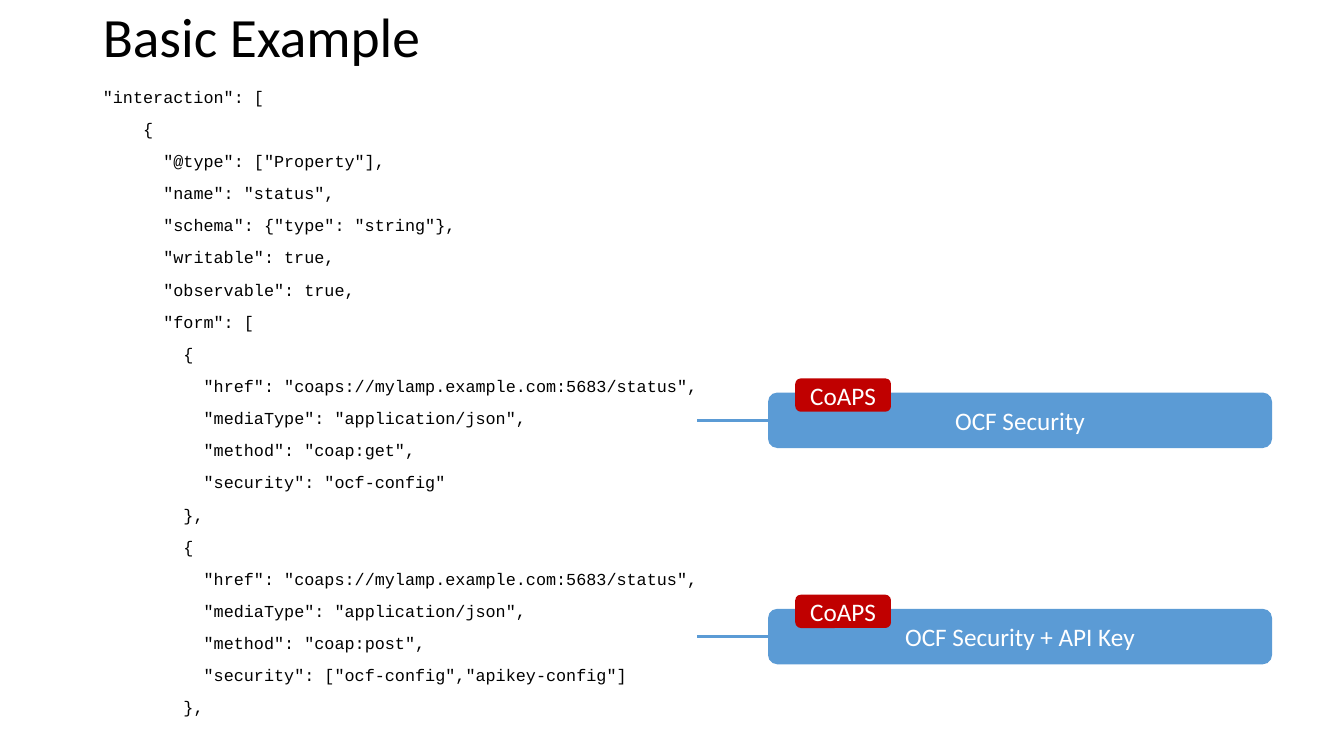
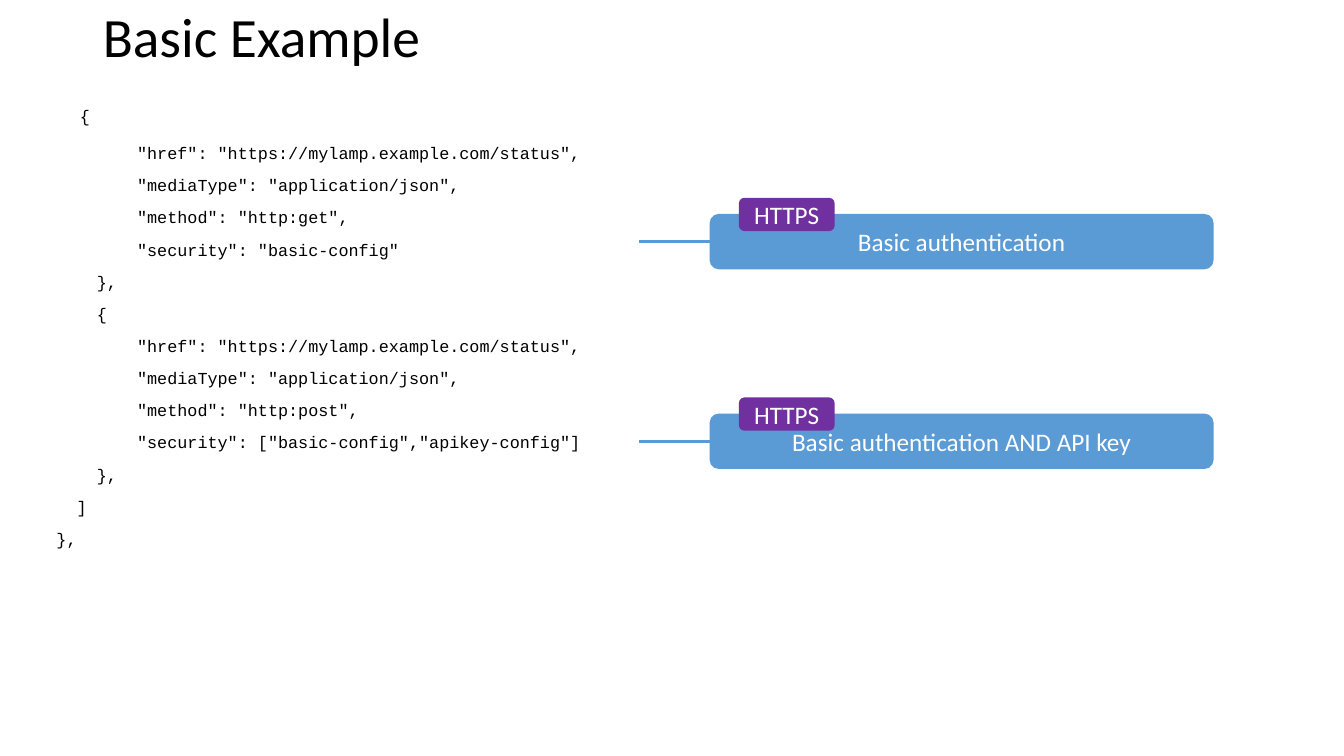
import pptx
import pptx.util
import pptx.dml.color
import pptx.enum.shapes
import pptx.enum.text
import lxml.etree

Pt = pptx.util.Pt
MSO = pptx.enum.shapes.MSO_SHAPE
ALIGN = pptx.enum.text.PP_ALIGN
ANCHOR = pptx.enum.text.MSO_ANCHOR

# Content: code lines are (indent in characters, text)
COLORS = {"text": "000000", "white": "FFFFFF", "box": "5B9BD5",
          "coaps": "C00000", "https": "7030A0"}
TITLE = "Basic Example"

SLIDES = [
    {
        "code_left": 66.24, "code_width": 501.84, "lead_size": None,
        "code": [
            (0, '"interaction": ['),
            (4, '{'),
            (6, '"@type": ["Property"],'),
            (6, '"name": "status",'),
            (6, '"schema": {"type": "string"},'),
            (6, '"writable": true,'),
            (6, '"observable": true,'),
            (6, '"form": ['),
            (8, '{'),
            (10, '"href": "coaps://mylamp.example.com:5683/status",'),
            (10, '"mediaType": "application/json",'),
            (10, '"method": "coap:get",'),
            (10, '"security": "ocf-config"'),
            (8, '},'),
            (8, '{'),
            (10, '"href": "coaps://mylamp.example.com:5683/status",'),
            (10, '"mediaType": "application/json",'),
            (10, '"method": "coap:post",'),
            (10, '"security": ["ocf-config","apikey-config"]'),
            (8, '},'),
        ],
        "box_left": 548.64, "badge": ("CoAPS", "coaps"), "badge_shift": (19.4, -10.1),
        "callouts": [(280.4, "OCF Security"), (434.9, "OCF Security + API Key")],
    },
    {
        "code_left": 33.12, "code_width": 406.08, "lead_size": 28,
        "code": [
            (0, '{'),
            (8, '"href": "https://mylamp.example.com/status",'),
            (8, '"mediaType": "application/json",'),
            (8, '"method": "http:get",'),
            (8, '"security": "basic-config"'),
            (4, '},'),
            (4, '{'),
            (8, '"href": "https://mylamp.example.com/status",'),
            (8, '"mediaType": "application/json",'),
            (8, '"method": "http:post",'),
            (8, '"security": ["basic-config","apikey-config"]'),
            (4, '},'),
            (2, ']'),
            (0, '},'),
        ],
        "box_left": 506.88, "badge": ("HTTPS", "https"), "badge_shift": (20.9, -11.5),
        "callouts": [(152.8, "Basic authentication"),
                     (295.4, "Basic authentication AND API key")],
    },
]

# Shared measures
CODE_SIZE = 12
CHAR_WIDTH = 0.6 * CODE_SIZE
BOX_W, BOX_H = 360, 39.6
BADGE_W, BADGE_H = 68.4, 23.8
LINE_LENGTH = 50.4


def rgb(name):
    return pptx.dml.color.RGBColor.from_string(COLORS[name])


def place(sp, left, top, width, height):
    sp.left, sp.top, sp.width, sp.height = Pt(left), Pt(top), Pt(width), Pt(height)


def add_run(p, text, size, font, color):
    r = p.add_run()
    r.text = text
    r.font.size, r.font.name = Pt(size), font
    r.font.color.rgb = rgb(color)


def add_title(s):
    sp = s.shapes.title
    place(sp, 66.24, 5.76, 828, 44.64)
    tf = sp.text_frame
    tf.auto_size = pptx.enum.text.MSO_AUTO_SIZE.NONE
    tf.vertical_anchor = ANCHOR.MIDDLE
    p = tf.paragraphs[0]
    p.alignment, p.line_spacing = ALIGN.LEFT, 0.9
    add_run(p, TITLE, 39.6, "Calibri", "text")


def add_code(s, left, width, lines, lead_size):
    sp = s.placeholders[1]
    place(sp, left, 59.76, width, 457.2)
    tf = sp.text_frame
    tf.auto_size = pptx.enum.text.MSO_AUTO_SIZE.NONE
    tf.vertical_anchor = ANCHOR.TOP
    for i, (indent, text) in enumerate(lines):
        p = tf.add_paragraph() if i else tf.paragraphs[0]
        p.line_spacing, p.space_before = 0.9, Pt(10)
        pPr = p._p.get_or_add_pPr()
        pPr.set("marL", str(Pt(indent * CHAR_WIDTH)))
        pPr.set("indent", "0")
        lxml.etree.SubElement(pPr, pptx.oxml.ns.qn("a:buNone"))
        if lead_size and i == 0:
            add_run(p, " ", lead_size, "Courier New", "text")
        add_run(p, text, CODE_SIZE, "Courier New", "text")


def add_label(shapes, left, top, width, height, text, fill):
    sp = shapes.add_shape(MSO.ROUNDED_RECTANGLE, Pt(left), Pt(top), Pt(width), Pt(height))
    sp.shadow.inherit = False
    sp.fill.solid()
    sp.fill.fore_color.rgb = rgb(fill)
    sp.line.fill.background()
    tf = sp.text_frame
    tf.vertical_anchor = ANCHOR.MIDDLE
    p = tf.paragraphs[0]
    p.alignment = ALIGN.CENTER
    add_run(p, text, 18, "Calibri", "white")


def add_callout(s, left, top, text):
    shapes = s.shapes.add_group_shape().shapes
    add_label(shapes, left, top, BOX_W, BOX_H, text, "box")
    middle = Pt(top + BOX_H / 2)
    line = shapes.add_connector(pptx.enum.shapes.MSO_CONNECTOR.STRAIGHT,
                                Pt(left - LINE_LENGTH), middle, Pt(left), middle)
    line.line.color.rgb = rgb("box")
    line.line.width = Pt(2.5)
    lxml.etree.SubElement(line._element.spPr, pptx.oxml.ns.qn("a:effectLst"))


# Build the slides
prs = pptx.Presentation()
prs.slide_width, prs.slide_height = Pt(960), Pt(540)
for item in SLIDES:
    s = prs.slides.add_slide(prs.slide_layouts[1])
    add_title(s)
    add_code(s, item["code_left"], item["code_width"], item["code"], item["lead_size"])
    dx, dy = item["badge_shift"]
    for top, text in item["callouts"]:
        add_callout(s, item["box_left"], top, text)
        add_label(s.shapes, item["box_left"] + dx, top + dy, BADGE_W, BADGE_H, *item["badge"])

prs.save("out.pptx")
